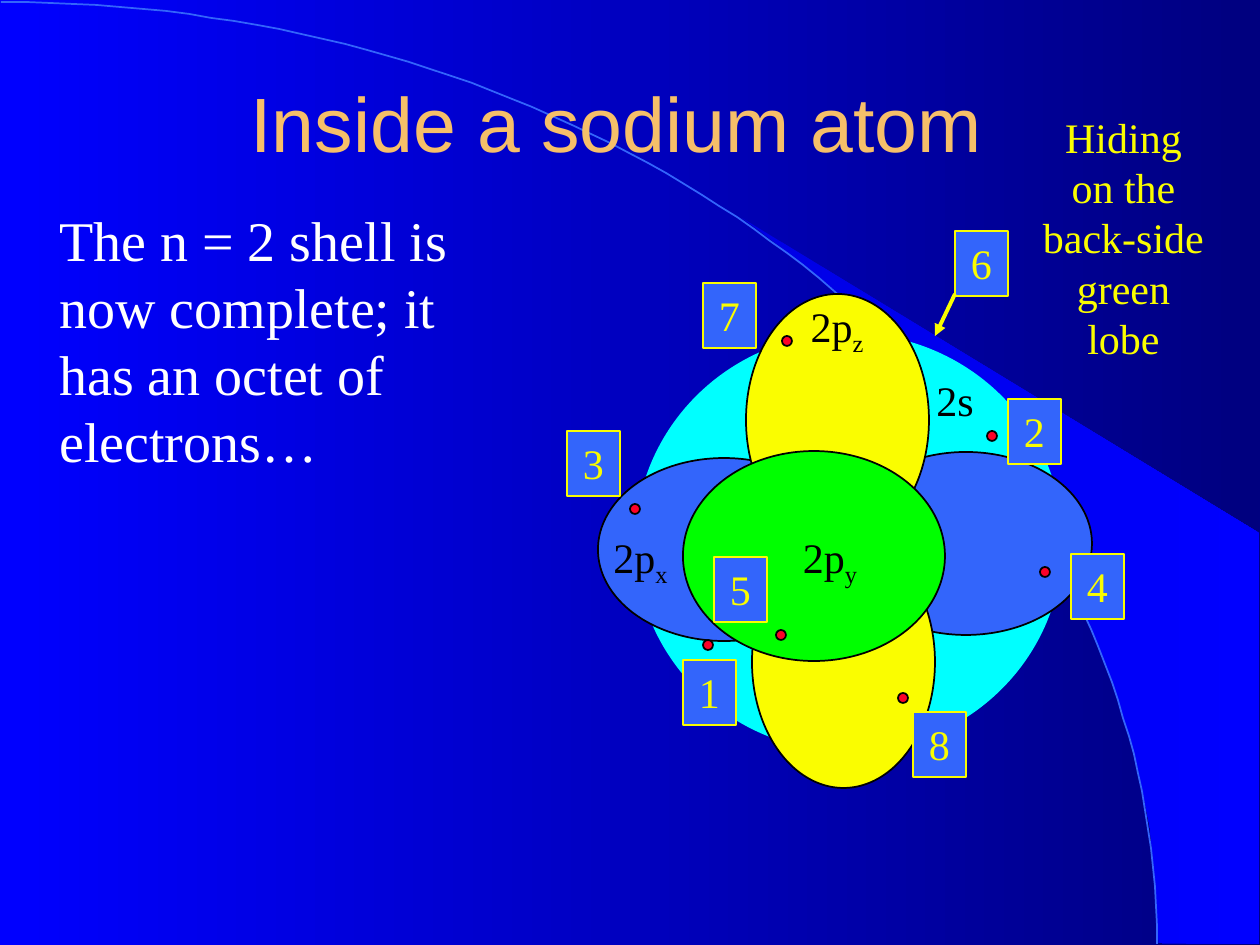
from dataclasses import dataclass
from typing import NamedTuple

from lxml import etree
from pptx import Presentation
from pptx.dml.color import RGBColor
from pptx.enum.shapes import MSO_CONNECTOR, MSO_SHAPE
from pptx.enum.text import MSO_ANCHOR, PP_ALIGN
from pptx.oxml.ns import qn
from pptx.util import Emu, Pt

OVAL, RECT = MSO_SHAPE.OVAL, MSO_SHAPE.RECTANGLE
STRAIGHT = MSO_CONNECTOR.STRAIGHT
LEFT, CENTER = PP_ALIGN.LEFT, PP_ALIGN.CENTER
TOP, MIDDLE = MSO_ANCHOR.TOP, MSO_ANCHOR.MIDDLE
EMU_PER_PX = 914400 / 126


@dataclass(frozen=True)
class Theme:
    bg_start: str = "0000FF"
    bg_end: str = "00007F"
    panel_start: str = "0000E5"
    panel_end: str = "0000FF"
    blue: str = "3365FB"
    cyan: str = "00FFFF"
    yellow: str = "FAFD00"
    green: str = "00FF00"
    red: str = "FC0128"
    gold: str = "F6BF69"
    white: str = "FFFFFF"
    black: str = "000000"
    title_font: str = "Arial"
    body_font: str = "Times New Roman"
    title_size: int = 44
    body_size: int = 32
    label_size: int = 24
    line: float = 1
    arrow: float = 2.25


T = Theme()


class Box(NamedTuple):
    x: int
    y: int
    w: int
    h: int


class Orbital(NamedTuple):
    box: Box
    fill: str
    line: str = T.black


class Label(NamedTuple):
    box: Box
    text: str
    sub: str = ""


class Tag(NamedTuple):
    text: str
    x: int
    y: int


ORBITALS = [
    Orbital(Box(636, 334, 426, 417), T.cyan, T.cyan),
    Orbital(Box(840, 452, 252, 183), T.blue),
    Orbital(Box(598, 458, 252, 183), T.blue),
    Orbital(Box(752, 536, 183, 252), T.yellow),
    Orbital(Box(746, 294, 183, 252), T.yellow),
    Orbital(Box(683, 451, 262, 210), T.green),
]
LABELS = [
    Label(Box(892, 368, 126, 63), "2s"),
    Label(Box(588, 525, 105, 63), "2p", "x"),
    Label(Box(775, 525, 110, 63), "2p", "y"),
    Label(Box(782, 294, 110, 63), "2p", "z"),
]
ELECTRONS = [(703, 640), (987, 431), (630, 504), (1040, 567),
             (776, 630), (782, 336), (898, 693)]
TAGS = [
    Tag("1", 683, 660), Tag("2", 1008, 399), Tag("3", 567, 431),
    Tag("4", 1071, 554), Tag("5", 714, 557), Tag("6", 955, 231),
    Tag("7", 703, 283), Tag("8", 913, 712),
]
PANEL = [(1159, 943), (1259, 944), (1259, 533), (742, 218), (786, 251),
         (823, 280), (863, 315), (902, 353), (960, 416), (1012, 484),
         (1048, 543), (1081, 604), (1106, 665), (1125, 721), (1138, 767),
         (1150, 827), (1155, 877)]
ARC = [(1, 2), (640, 2), (1157, 424), (1157, 944)]


def px(n: int) -> Emu:
    return Emu(round(n * EMU_PER_PX))


def rgb(color: str) -> RGBColor:
    return RGBColor.from_string(color)


def set_gradient(fill, start: str, end: str) -> None:
    fill.gradient()
    fill.gradient_angle = 0
    for stop, color in zip(fill.gradient_stops, (start, end)):
        stop.color.rgb = rgb(color)


def set_line(s, color: str, width: float = T.line) -> None:
    s.line.color.rgb = rgb(color)
    s.line.width = Pt(width)


def add_run(p, text: str, size: int, color: str, font: str = T.body_font):
    r = p.add_run()
    r.text = text
    r.font.size = Pt(size)
    r.font.name = font
    r.font.color.rgb = rgb(color)
    return r


def setup_text(s, align=CENTER, anchor=TOP):
    tf = s.text_frame
    tf.word_wrap = True
    tf.vertical_anchor = anchor
    p = tf.paragraphs[0]
    p.alignment = align
    return p


def add_text(slide, box: Box, align=CENTER, anchor=TOP):
    return setup_text(slide.shapes.add_textbox(*map(px, box)), align, anchor)


def add_solid(slide, kind, box: Box, fill: str, line: str):
    s = slide.shapes.add_shape(kind, *map(px, box))
    s.shadow.inherit = False
    s.fill.solid()
    s.fill.fore_color.rgb = rgb(fill)
    set_line(s, line)
    return s


def add_outline(slide, points: list[tuple[int, int]], close: bool):
    builder = slide.shapes.build_freeform(*points[0], scale=EMU_PER_PX)
    builder.add_line_segments(points[1:], close=close)
    s = builder.convert_to_shape()
    s.shadow.inherit = False
    return s


def bezier(ctrl: list[tuple[int, int]], steps: int = 80) -> list[tuple[int, int]]:
    a, b, c, d = ctrl
    points = []
    for i in range(steps + 1):
        t = i / steps
        u = 1 - t
        weights = (u ** 3, 3 * u * u * t, 3 * u * t * t, t ** 3)
        points.append(tuple(round(sum(w * v for w, v in zip(weights, axis)))
                            for axis in zip(a, b, c, d)))
    return points


def add_arrow(slide, x1: int, y1: int, x2: int, y2: int) -> None:
    s = slide.shapes.add_connector(STRAIGHT, *map(px, (x1, y1, x2, y2)))
    set_line(s, T.yellow, T.arrow)
    etree.SubElement(s.line._get_or_add_ln(), qn("a:tailEnd"), type="triangle")
    etree.SubElement(s._element.spPr, qn("a:effectLst"))


def add_backdrop(slide) -> None:
    set_gradient(slide.background.fill, T.bg_start, T.bg_end)
    s = add_outline(slide, PANEL, True)
    set_gradient(s.fill, T.panel_start, T.panel_end)
    s.line.fill.background()
    s = add_outline(slide, bezier(ARC), False)
    s.fill.background()
    set_line(s, T.blue)


def add_label(slide, label: Label) -> None:
    p = add_text(slide, label.box)
    add_run(p, label.text, T.label_size, T.black)
    if label.sub:
        r = add_run(p, label.sub, T.label_size, T.black)
        r.font._element.set("baseline", "-25000")


def add_tag(slide, tag: Tag) -> None:
    s = add_solid(slide, RECT, Box(tag.x, tag.y, 53, 65), T.blue, T.yellow)
    add_run(setup_text(s), tag.text, T.label_size, T.yellow)


def main() -> None:
    prs = Presentation()
    prs.slide_width, prs.slide_height = px(1260), px(945)
    slide = prs.slides.add_slide(prs.slide_layouts[6])
    add_backdrop(slide)
    p = add_text(slide, Box(92, 43, 1071, 158), anchor=MIDDLE)
    add_run(p, "Inside a sodium atom ", T.title_size, T.gold, T.title_font)
    p = add_text(slide, Box(47, 199, 490, 441), LEFT)
    add_run(p, "The n = 2 shell is now complete; it has an octet of electrons…",
            T.body_size, T.white)
    for orbital in ORBITALS:
        add_solid(slide, OVAL, *orbital)
    for label in LABELS:
        add_label(slide, label)
    for x, y in ELECTRONS:
        add_solid(slide, OVAL, Box(x, y, 10, 10), T.red, T.black)
    for tag in TAGS:
        add_tag(slide, tag)
    add_arrow(slide, 955, 294, 935, 336)
    p = add_text(slide, Box(1029, 105, 189, 265))
    add_run(p, "Hiding on the back-side green lobe", T.label_size, T.yellow)
    prs.save("out.pptx")


if __name__ == "__main__":
    main()
